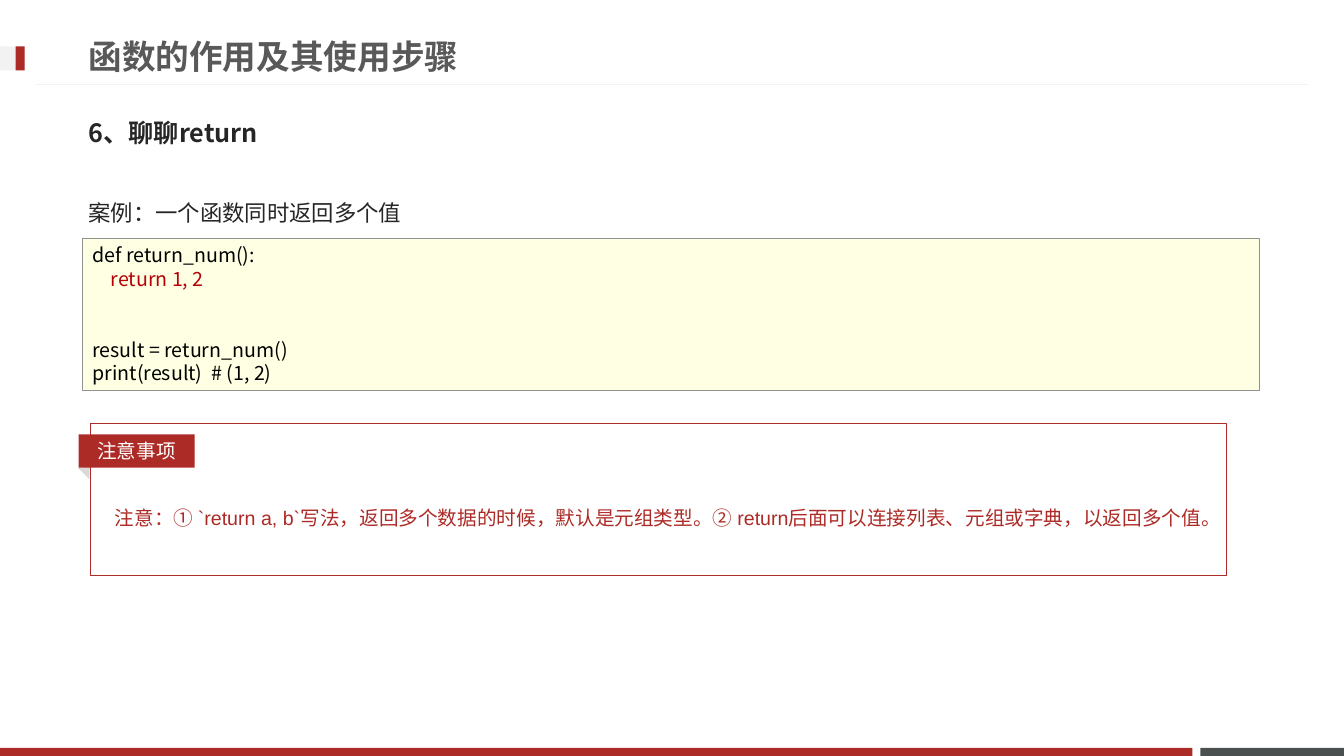
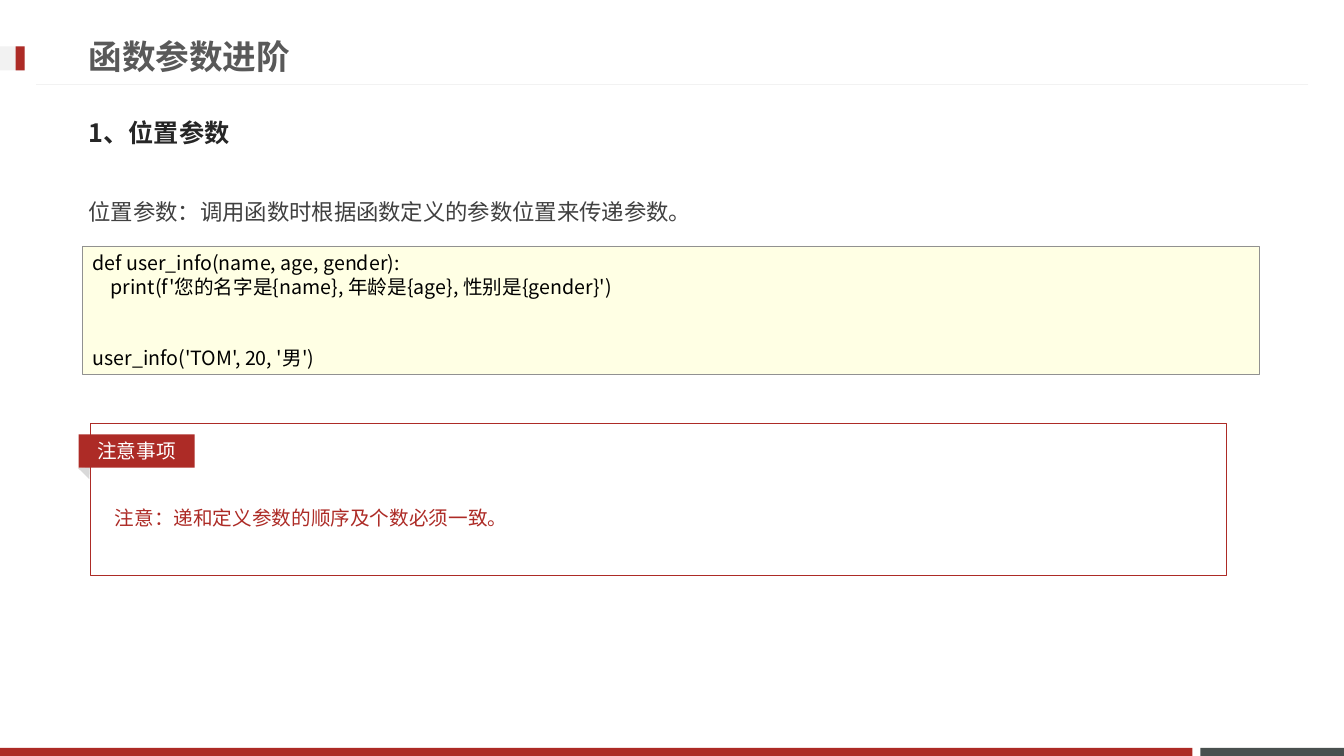
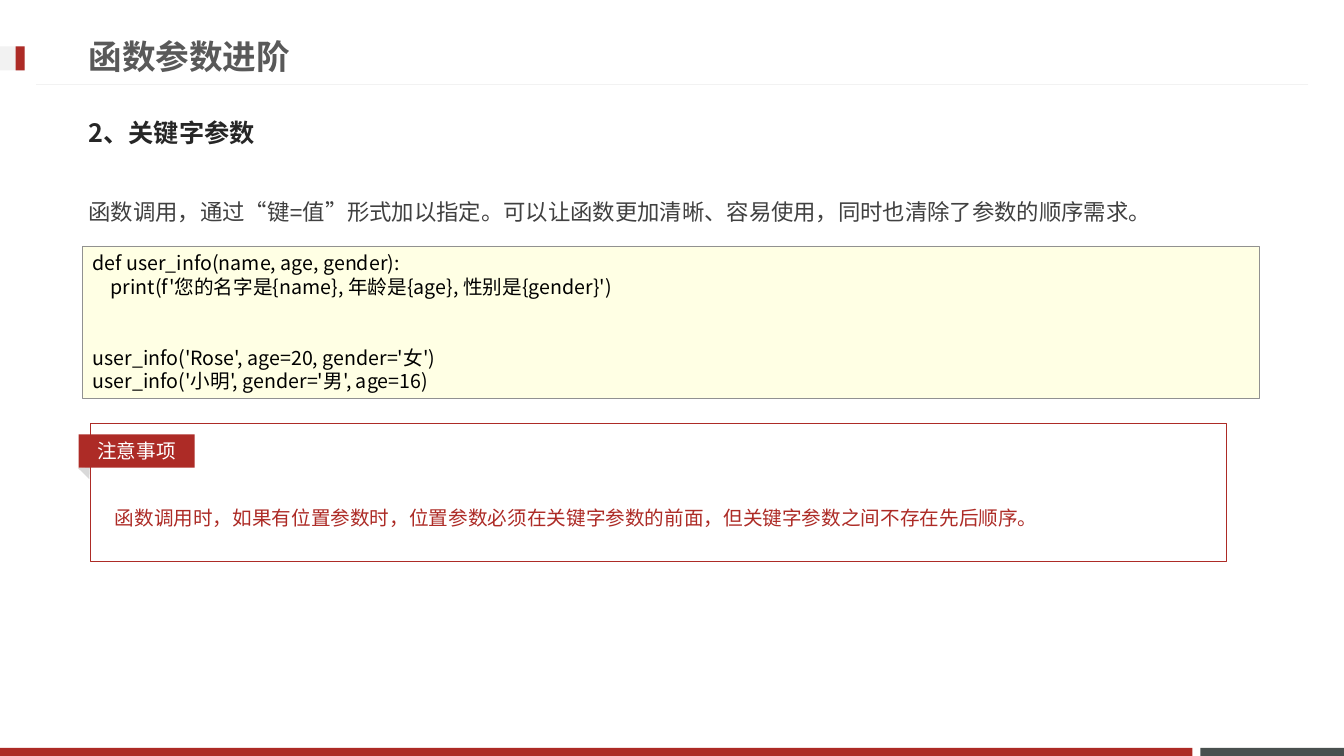
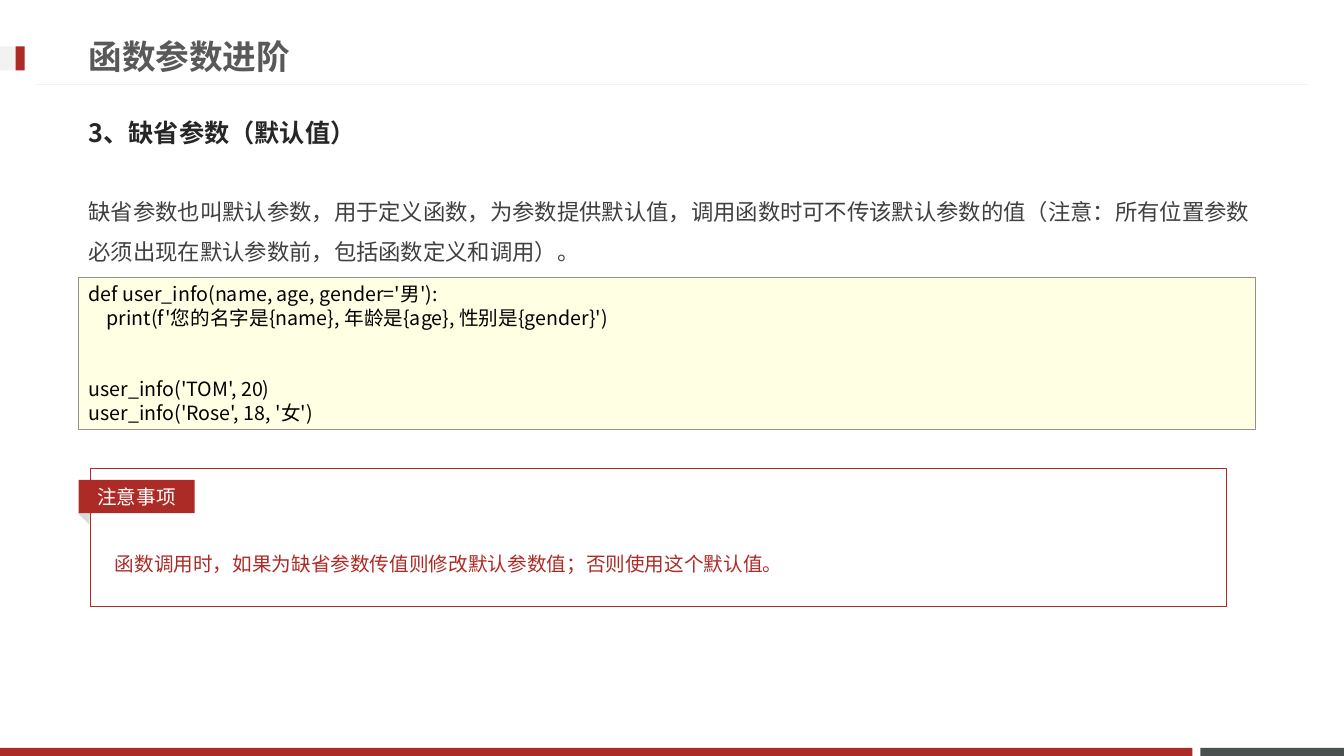
from lxml import etree
from pptx import Presentation
from pptx.dml.color import RGBColor
from pptx.enum.lang import MSO_LANGUAGE_ID
from pptx.enum.shapes import MSO_CONNECTOR, MSO_SHAPE
from pptx.enum.text import MSO_ANCHOR, PP_ALIGN
from pptx.oxml.ns import qn
from pptx.util import Pt

RECT, TRIANGLE = MSO_SHAPE.RECTANGLE, MSO_SHAPE.ISOSCELES_TRIANGLE
STRAIGHT = MSO_CONNECTOR.STRAIGHT
TOP, MIDDLE = MSO_ANCHOR.TOP, MSO_ANCHOR.MIDDLE
CENTER = PP_ALIGN.CENTER
CHINESE = MSO_LANGUAGE_ID.SIMPLIFIED_CHINESE

# Shared style
SANS, CJK = "Arial", "Noto Sans CJK JP"
RED, SLATE, PALE, FOLD = "AD2B26", "49504F", "F2F2F2", "D9D9D9"
TITLE_GREY, INK, BODY_GREY = "595959", "262626", "404040"
CODE_FILL, CODE_EDGE, BLACK, CODE_RED = "FFFFE4", "919191", "000000", "B60206"
WHITE = "FFFFFF"
WIDTH, HEIGHT = 960, 540
MARGIN, COLUMN = 56.2, 846.7
CODE_PITCH, CODE_PADDING, CODE_INDENT, BLANK_LINES = 16.9, 3.6, 13, 2
BODY_PITCH, NOTE_PITCH = 28.6, 25.7

# Content: "definition" has its body indented, "calls" follow after a gap
PRINT_INFO = "print(f'您的名字是{name}, 年龄是{age}, 性别是{gender}')"
ADVANCED = "函数参数进阶"
LESSONS = [
    dict(title="函数的作用及其使用步骤", heading="6、聊聊return",
         intro="案例：一个函数同时返回多个值", intro_top=129.6, intro_color=INK,
         definition=["def return_num():", "return 1, 2"], body_color=CODE_RED,
         calls=["result = return_num()", "print(result)  # (1, 2)"],
         code_at=(59, 169.9),
         note="注意：① `return a, b`写法，返回多个数据的时候，默认是元组类型。"
              "② return后面可以连接列表、元组或字典，以返回多个值。",
         note_top=302.4, note_height=108.7),
    dict(title=ADVANCED, heading="1、位置参数",
         intro="位置参数：调用函数时根据函数定义的参数位置来传递参数。",
         definition=["def user_info(name, age, gender):", PRINT_INFO],
         calls=["user_info('TOM', 20, '男')"],
         code_at=(59, 175.7),
         note="注意：递和定义参数的顺序及个数必须一致。",
         note_top=302.4, note_height=108.7),
    dict(title=ADVANCED, heading="2、关键字参数",
         intro="函数调用，通过“键=值”形式加以指定。"
               "可以让函数更加清晰、容易使用，同时也清除了参数的顺序需求。",
         definition=["def user_info(name, age, gender):", PRINT_INFO],
         calls=["user_info('Rose', age=20, gender='女')",
                "user_info('小明', gender='男', age=16)"],
         code_at=(59, 175.7),
         note="函数调用时，如果有位置参数时，位置参数必须在关键字参数的前面，"
              "但关键字参数之间不存在先后顺序。",
         note_top=302.4, note_height=98.6),
    dict(title=ADVANCED, heading="3、缺省参数（默认值）",
         intro="缺省参数也叫默认参数，用于定义函数，为参数提供默认值，"
               "调用函数时可不传该默认参数的值"
               "（注意：所有位置参数必须出现在默认参数前，包括函数定义和调用）。",
         definition=["def user_info(name, age, gender='男'):", PRINT_INFO],
         calls=["user_info('TOM', 20)", "user_info('Rose', 18, '女')"],
         code_at=(MARGIN, 198),
         note="函数调用时，如果为缺省参数传值则修改默认参数值；否则使用这个默认值。",
         note_top=334.8, note_height=98.6),
]


def rgb(value):
    return RGBColor.from_string(value)


def add_block(slide, left, top, width, height, fill=None, edge=None,
              edge_width=0.75, kind=RECT):
    block = slide.shapes.add_shape(kind, Pt(left), Pt(top), Pt(width), Pt(height))
    block.shadow.inherit = False
    if fill:
        block.fill.solid()
        block.fill.fore_color.rgb = rgb(fill)
    else:
        block.fill.background()
    if edge:
        block.line.color.rgb = rgb(edge)
        block.line.width = Pt(edge_width)
    else:
        block.line.fill.background()
    return block


def style(paragraph, size, color, face=SANS, bold=False, pitch=None):
    font = paragraph.font
    font.size, font.bold, font.name = Pt(size), bold, face
    font.color.rgb = rgb(color)
    font.language_id = CHINESE
    east_asian = etree.SubElement(paragraph._p.pPr.find(qn("a:defRPr")), qn("a:ea"))
    east_asian.set("typeface", CJK)
    if pitch:
        paragraph.line_spacing = Pt(pitch)


def add_text(slide, text, left, top, width, height, size, color,
             anchor=TOP, **look):
    frame = slide.shapes.add_textbox(Pt(left), Pt(top), Pt(width), Pt(height)).text_frame
    frame.word_wrap = True
    frame.vertical_anchor = anchor
    paragraph = frame.paragraphs[0]
    paragraph.text = text
    style(paragraph, size, color, **look)
    return paragraph


def add_page_frame(slide, title, heading):
    # Footer bands and title marker
    add_block(slide, 857.5, 534.2, WIDTH - 857.5, HEIGHT - 534.2, SLATE)
    add_block(slide, 0, 534.2, 851.8, HEIGHT - 534.2, RED)
    rule = slide.shapes.add_connector(STRAIGHT, Pt(934.6), Pt(60.4), Pt(25.5), Pt(60.4))
    rule.line.color.rgb = rgb(PALE)
    rule.line.width = Pt(0.75)
    etree.SubElement(rule._element.spPr, qn("a:effectLst"))
    add_block(slide, 0, 33.1, 17.7, 17.3, PALE)
    add_block(slide, 11.2, 33.1, 6.5, 17.3, RED)
    # Title and section heading
    add_text(slide, title, MARGIN, 19.4, 690.5, 41, 24, TITLE_GREY, MIDDLE, bold=True)
    add_text(slide, heading, MARGIN, 74.2, COLUMN, 41, 18, INK, MIDDLE,
             face=CJK, bold=True)


def add_code(slide, left, top, definition, calls, body_color):
    lines = definition + calls
    height = 2 * CODE_PADDING + CODE_PITCH * (len(lines) + BLANK_LINES)
    panel = add_block(slide, left, top, 840.2, height, CODE_FILL, CODE_EDGE, 0.25)
    frame = panel.text_frame
    frame.word_wrap = True
    frame.vertical_anchor = TOP
    frame.text = "\n".join(lines)
    for number, paragraph in enumerate(frame.paragraphs):
        in_body = 0 < number < len(definition)
        paragraph.alignment = PP_ALIGN.LEFT
        style(paragraph, 14, body_color if in_body else BLACK, CJK, pitch=CODE_PITCH)
        if in_body:
            paragraph._p.pPr.set("marL", str(Pt(CODE_INDENT)))
        if number == len(definition):
            paragraph.space_before = Pt(BLANK_LINES * CODE_PITCH)


def add_note(slide, text, top, height):
    fold = add_block(slide, MARGIN, top + 30.2, 11.5, 6.5, FOLD, kind=TRIANGLE)
    fold.rotation = 44.2
    add_text(slide, text, 74.9, top + 46.8, 790.6, 32.4, 14, RED, pitch=NOTE_PITCH)
    add_block(slide, 64.8, top, 811.4, height, edge=RED)
    tag = add_block(slide, MARGIN, top + 7.9, 82.8, 23.8, RED)
    tag.text_frame.vertical_anchor = MIDDLE
    label = tag.text_frame.paragraphs[0]
    label.text = "注意事项"
    label.alignment = CENTER
    style(label, 14, WHITE)


def main():
    deck = Presentation()
    deck.slide_width, deck.slide_height = Pt(WIDTH), Pt(HEIGHT)
    blank = deck.slide_layouts[6]
    for lesson in LESSONS:
        slide = deck.slides.add_slide(blank)
        add_page_frame(slide, lesson["title"], lesson["heading"])
        add_text(slide, lesson["intro"], MARGIN, lesson.get("intro_top", 128.9),
                 COLUMN, 66, 16, lesson.get("intro_color", BODY_GREY),
                 pitch=BODY_PITCH)
        add_code(slide, *lesson["code_at"], lesson["definition"], lesson["calls"],
                 lesson.get("body_color", BLACK))
        add_note(slide, lesson["note"], lesson["note_top"], lesson["note_height"])
    deck.save("out.pptx")


if __name__ == "__main__":
    main()
